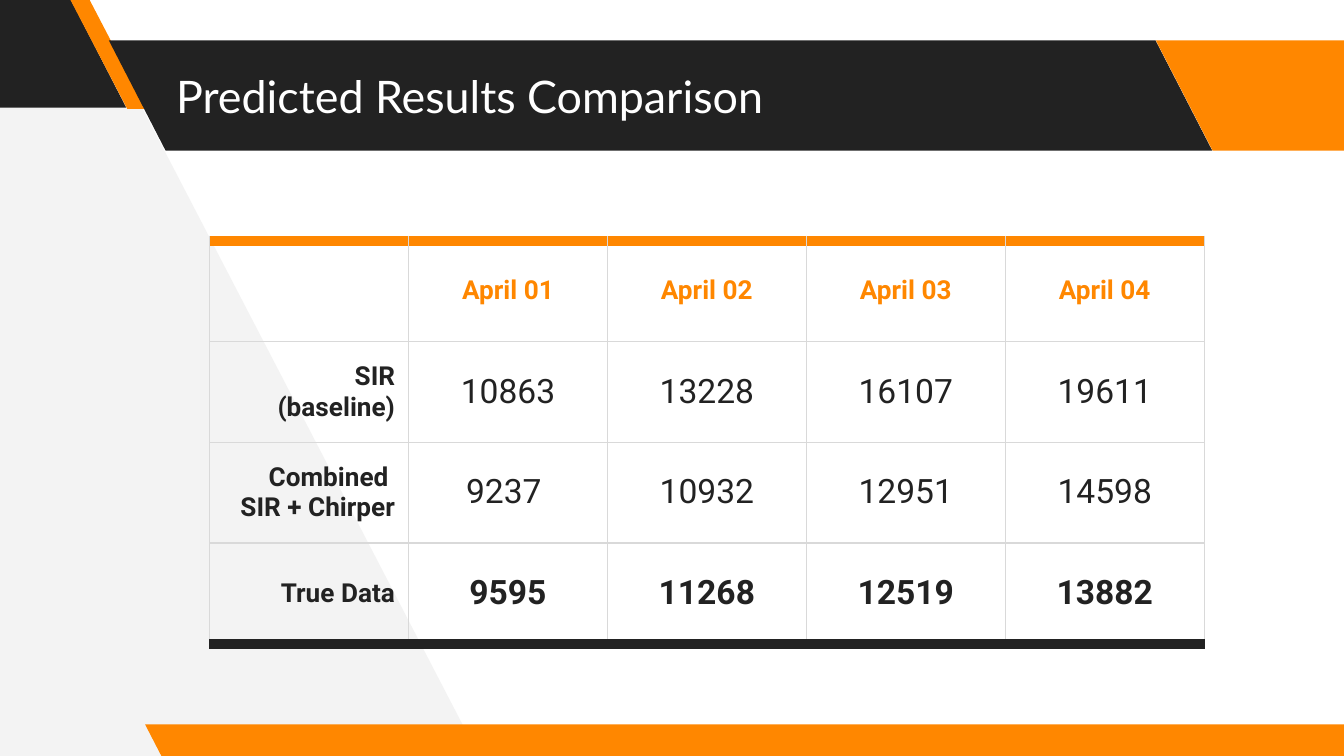
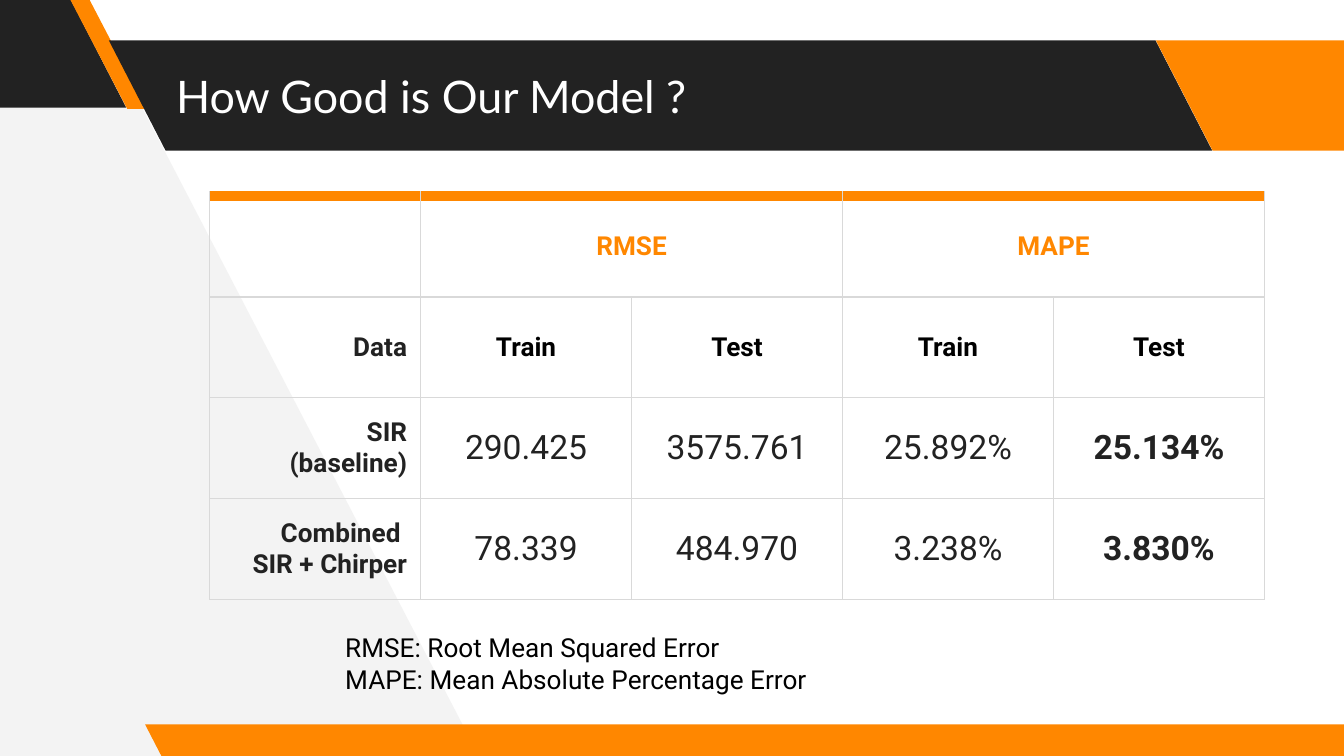
from lxml.etree import SubElement
from pptx import Presentation
from pptx.dml.color import RGBColor
from pptx.enum.shapes import MSO_SHAPE
from pptx.enum.text import MSO_ANCHOR, MSO_AUTO_SIZE, PP_ALIGN
from pptx.oxml.ns import qn
from pptx.util import Inches, Pt

ORANGE = RGBColor(0xFF, 0x87, 0x00)
CHARCOAL = RGBColor(0x22, 0x22, 0x22)
PALE_GRAY = RGBColor(0xF3, 0xF3, 0xF3)
GRID_GRAY = RGBColor(0xD9, 0xD9, 0xD9)
BLACK = RGBColor(0x00, 0x00, 0x00)
WHITE = RGBColor(0xFF, 0xFF, 0xFF)
TITLE_FONT, BODY_FONT = "Lato", "Roboto"

PAGE_WIDTH = Inches(10)
PAGE_HEIGHT = PAGE_WIDTH * 9 // 16
TITLE_BOX = (1.21, 0.3, 7.35, 0.82)
PANEL_CORNERS = [(3.56, 5.62), (0.62, -0.04), (-0.06, -0.04), (-0.02, 5.66)]
BANDS = [  # box, slant, colour
    ((-0.99, -0.02, 1.93, 0.82), 0.515, CHARCOAL),
    ((0.52, -0.01, 0.57, 0.82), 0.75, ORANGE),
    ((0.81, 0.3, 8.21, 0.82), 0.515, CHARCOAL),
    ((8.6, 0.3, 1.92, 0.82), 0.515, ORANGE),
    ((1.08, 5.39, 9.15, 0.25), 0.515, ORANGE),
]
ROW_HEIGHT = 0.75
THIN_RULE = (GRID_GRAY, 0.75)
BASELINE_LABEL = "SIR\n(baseline)"
COMBINED_LABEL = "Combined \nSIR + Chirper"


def inches(values):
    return [Inches(value) for value in values]


def paint(shape, color):
    shape.fill.solid()
    shape.fill.fore_color.rgb = color
    shape.line.fill.background()
    shape.shadow.inherit = False


def format_text(frame, size, color, font=BODY_FONT, bold=False, align=PP_ALIGN.LEFT):
    for para in frame.paragraphs:
        para.alignment = align
        for span in para.runs:
            span.font.name = font
            span.font.size = Pt(size)
            span.font.bold = bold
            span.font.color.rgb = color


def set_insets(frame):
    frame.margin_left = frame.margin_right = Inches(0.1)
    frame.margin_top = frame.margin_bottom = Inches(0.1)
    frame.word_wrap = True


def draw_backdrop(page):
    """Draw the pale side panel and the slanted bands, back to front."""
    first, *others = [inches(corner) for corner in PANEL_CORNERS]
    builder = page.shapes.build_freeform(*first)
    builder.add_line_segments(others, close=True)
    panel = builder.convert_to_shape()
    paint(panel, PALE_GRAY)
    backdrop = [panel]
    for box, slant, color in BANDS:
        band = page.shapes.add_shape(MSO_SHAPE.PARALLELOGRAM, *inches(box))
        band.adjustments[0] = slant
        band._element.spPr.xfrm.set("flipH", "1")
        paint(band, color)
        backdrop.append(band)
    return backdrop


def prepare_layout(deck):
    """Set the shared title position on the title-only layout."""
    layout = deck.slide_layouts[5]
    title = layout.placeholders[0]
    title.left, title.top, title.width, title.height = inches(TITLE_BOX)
    return layout


def move_to_layout(shapes, layout):
    """Put shapes drawn on a page behind everything on its layout."""
    for index, shape in enumerate(shapes):
        shape._element.nvSpPr.cNvPr.id = 100 + index
        layout.shapes._spTree.insert(2 + index, shape._element)


def add_page(deck, layout, title_text):
    page = deck.slides.add_slide(layout)
    frame = page.shapes.title.text_frame
    frame.text = title_text
    frame.auto_size = MSO_AUTO_SIZE.NONE
    frame.vertical_anchor = MSO_ANCHOR.MIDDLE
    set_insets(frame)
    format_text(frame, 24, WHITE, TITLE_FONT)
    return page


def set_borders(cell, top, bottom):
    """Rule a cell; top and bottom are (colour, points), the sides are thin."""
    properties = cell._tc.get_or_add_tcPr()
    rules = zip(("lnL", "lnR", "lnT", "lnB"), (THIN_RULE, THIN_RULE, top, bottom))
    for tag, (color, points) in rules:
        line = SubElement(properties, qn(f"a:{tag}"), w=str(Pt(points)))
        fill = SubElement(line, qn("a:solidFill"))
        SubElement(fill, qn("a:srgbClr"), val=str(color))


def add_results_table(page, left, top, column_width, rows, is_key,
                      subheading_rows=(), closing_rule=False):
    """Add a table with orange headings; is_key(row, column) marks bold values."""
    row_count, column_count = len(rows), len(rows[0])
    table = page.shapes.add_table(
        row_count, column_count,
        *inches((left, top, column_width * column_count, ROW_HEIGHT * row_count))).table
    table.first_row = table.horz_banding = False
    for row, texts in enumerate(rows):
        for column, text in enumerate(texts):
            cell = table.cell(row, column)
            is_last = closing_rule and row == row_count - 1
            set_borders(cell, (ORANGE, 6) if row == 0 else THIN_RULE,
                        (CHARCOAL, 6) if is_last else THIN_RULE)
            cell.fill.background()
            cell.vertical_anchor = MSO_ANCHOR.MIDDLE
            cell.margin_left = cell.margin_right = Inches(0.1)
            cell.margin_top = cell.margin_bottom = Inches(0.07)
            cell.text_frame.text = text
            size, color, bold, align = 14, CHARCOAL, True, PP_ALIGN.CENTER
            if row == 0:
                color = ORANGE
            elif column == 0:
                align = PP_ALIGN.RIGHT
            elif row in subheading_rows:
                color = BLACK
            else:
                size, bold = 18, is_key(row, column)
            format_text(cell.text_frame, size, color, bold=bold, align=align)
    return table


def add_note(page, box, text):
    frame = page.shapes.add_textbox(*inches(box)).text_frame
    frame.text = text
    set_insets(frame)
    format_text(frame, 14, BLACK)


def add_prediction_page(deck, layout):
    page = add_page(deck, layout, "Predicted Results Comparison")
    rows = [
        ["", "April 01", "April 02", "April 03", "April 04"],
        [BASELINE_LABEL, "10863", "13228", "16107", "19611"],
        [COMBINED_LABEL, "9237 ", "10932", "12951", "14598"],
        ["True Data", "9595", "11268", "12519", "13882"],
    ]
    add_results_table(page, 1.56, 1.79, 1.48, rows,
                      lambda row, column: row == 3, closing_rule=True)
    return page


def add_accuracy_page(deck, layout):
    page = add_page(deck, layout, "How Good is Our Model ?")
    rows = [
        ["", "RMSE", "", "MAPE", ""],
        ["Data", "Train", "Test", "Train", "Test"],
        [BASELINE_LABEL, "290.425", "3575.761", "25.892%", "25.134%"],
        [COMBINED_LABEL, "78.339", "484.970", "3.238%", "3.830%"],
    ]
    table = add_results_table(page, 1.56, 1.46, 1.57, rows,
                              lambda row, column: column == 4, subheading_rows=(1,))
    for column in (1, 3):
        table.cell(0, column).merge(table.cell(0, column + 1))
    add_note(page, (2.47, 4.6, 3.71, 0.75),
             "RMSE: Root Mean Squared Error\nMAPE: Mean Absolute Percentage Error")
    return page


def main():
    deck = Presentation()
    deck.slide_width, deck.slide_height = PAGE_WIDTH, PAGE_HEIGHT
    layout = prepare_layout(deck)
    first_page = add_prediction_page(deck, layout)
    move_to_layout(draw_backdrop(first_page), layout)
    add_accuracy_page(deck, layout)
    deck.save("out.pptx")


if __name__ == "__main__":
    main()
